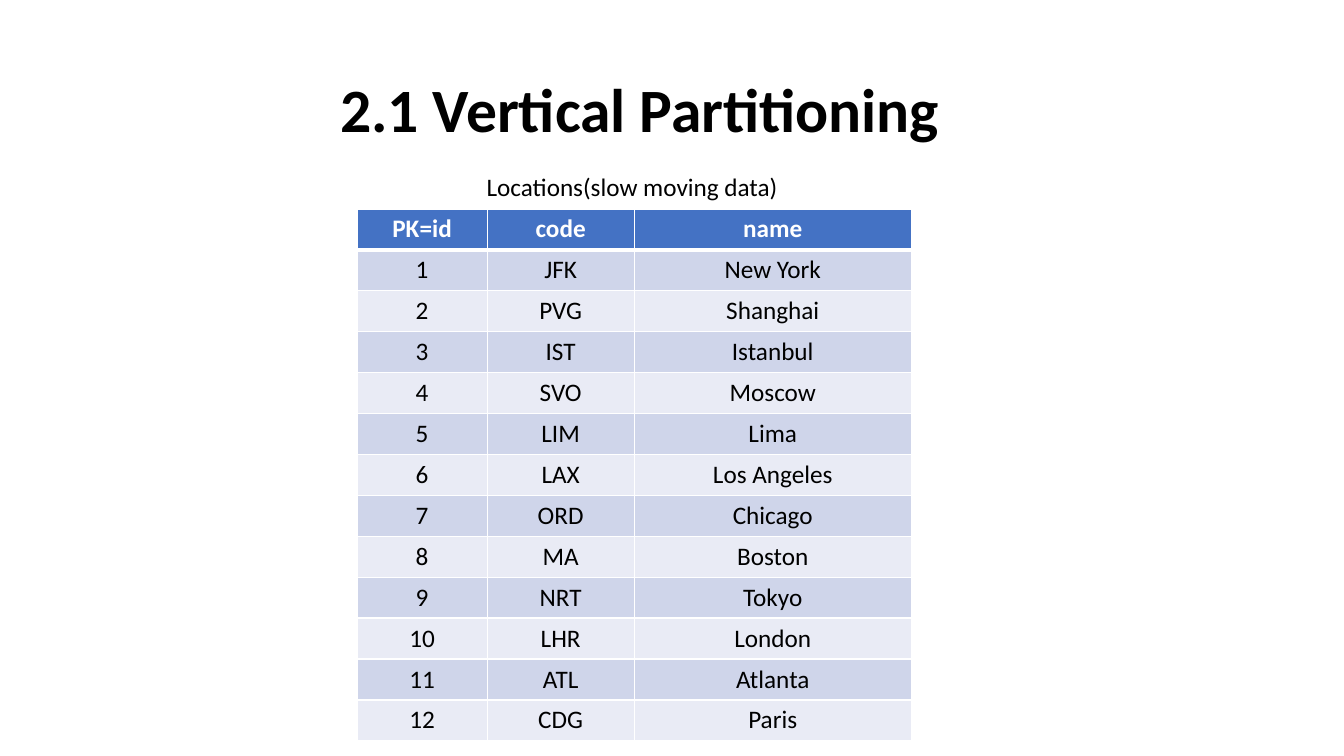
from lxml import etree
from pptx import Presentation
from pptx import util as u
from pptx.dml.color import RGBColor
from pptx.enum import text
from pptx.oxml import ns

PX = 9525
THEME = {
    "font": "Calibri",
    "title_size": 44,
    "body_size": 18,
    "ink": "000000",
    "paper": "FFFFFF",
    "header": "4472C4",
    "bands": ["E9EBF5", "CFD5EA"],
}


def add_text(paragraph, words, size, color, bold=False):
    run = paragraph.add_run()
    run.text = words
    run.font.name = THEME["font"]
    run.font.size = u.Pt(size)
    run.font.bold = bold
    run.font.color.rgb = RGBColor.from_string(color)


def add_border(cell, side, points):
    properties = cell._tc.get_or_add_tcPr()
    line = etree.SubElement(properties, ns.qn(f"a:ln{side}"), w=str(u.Pt(points)))
    fill = etree.SubElement(line, ns.qn("a:solidFill"))
    etree.SubElement(fill, ns.qn("a:srgbClr"), val=THEME["paper"])


presentation = Presentation()
presentation.slide_width = 1280 * PX
presentation.slide_height = 720 * PX
slide = presentation.slides.add_slide(presentation.slide_layouts[6])

title = slide.shapes.add_textbox(88 * PX, 38 * PX, 1104 * PX, 139 * PX)
title.text_frame.word_wrap = True
title.text_frame.vertical_anchor = text.MSO_ANCHOR.MIDDLE
title.text_frame.margin_left = 236 * PX
paragraph = title.text_frame.paragraphs[0]
paragraph.line_spacing = 0.9
add_text(paragraph, "2.1 Vertical Partitioning", THEME["title_size"], THEME["ink"], True)

airports = [
    ("JFK", "New York"),
    ("PVG", "Shanghai"),
    ("IST", "Istanbul"),
    ("SVO", "Moscow"),
    ("LIM", "Lima"),
    ("LAX", "Los Angeles"),
    ("ORD", "Chicago"),
    ("MA", "Boston"),
    ("NRT", "Tokyo"),
    ("LHR", "London"),
    ("ATL", "Atlanta"),
    ("CDG", "Paris"),
]
rows = [("PK=id", "code", "name")]
rows += [(str(key), code, name) for key, (code, name) in enumerate(airports, 1)]
column_widths = [124, 140, 264]
row_height = 39

table = slide.shapes.add_table(
    len(rows), len(column_widths), 340 * PX, 199 * PX,
    sum(column_widths) * PX, len(rows) * row_height * PX,
).table
for column, width in zip(table.columns, column_widths):
    column.width = width * PX

for row_index, values in enumerate(rows):
    table.rows[row_index].height = row_height * PX
    is_header = row_index == 0
    fill_color = THEME["header"] if is_header else THEME["bands"][row_index % 2]
    text_color = THEME["paper"] if is_header else THEME["ink"]
    for column_index, value in enumerate(values):
        cell = table.cell(row_index, column_index)
        add_border(cell, "L", 1)
        add_border(cell, "R", 1)
        add_border(cell, "T", 3 if row_index == 1 else 1)
        add_border(cell, "B", 3 if is_header else 1)
        cell.fill.solid()
        cell.fill.fore_color.rgb = RGBColor.from_string(fill_color)
        paragraph = cell.text_frame.paragraphs[0]
        paragraph.alignment = text.PP_ALIGN.CENTER
        add_text(paragraph, value, THEME["body_size"], text_color, is_header)

caption = slide.shapes.add_textbox(454 * PX, 158 * PX, 300 * PX, 38 * PX)
caption.text_frame.word_wrap = False
caption.text_frame.auto_size = text.MSO_AUTO_SIZE.SHAPE_TO_FIT_TEXT
add_text(
    caption.text_frame.paragraphs[0],
    "Locations(slow moving data)", THEME["body_size"], THEME["ink"],
)

presentation.save("out.pptx")
